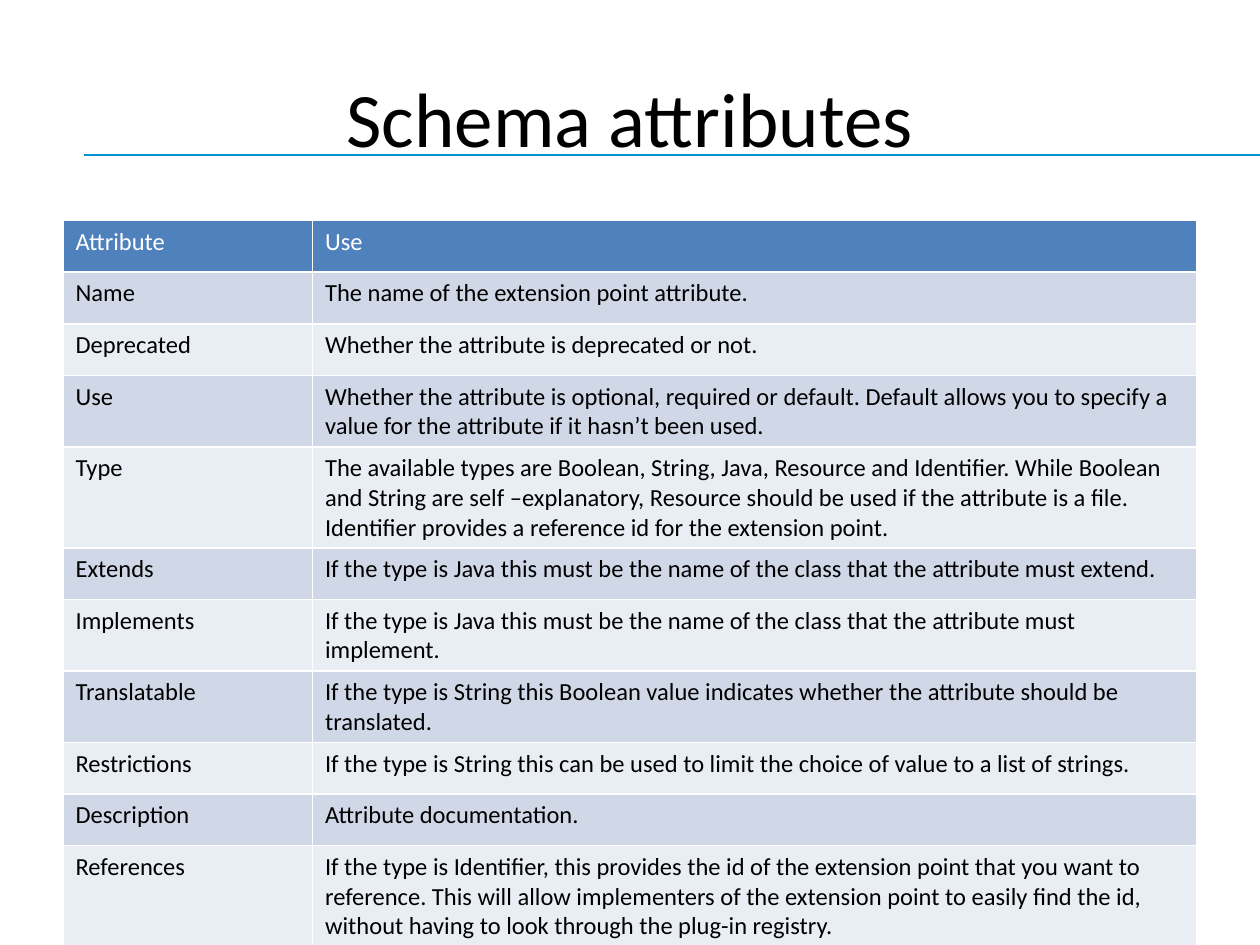
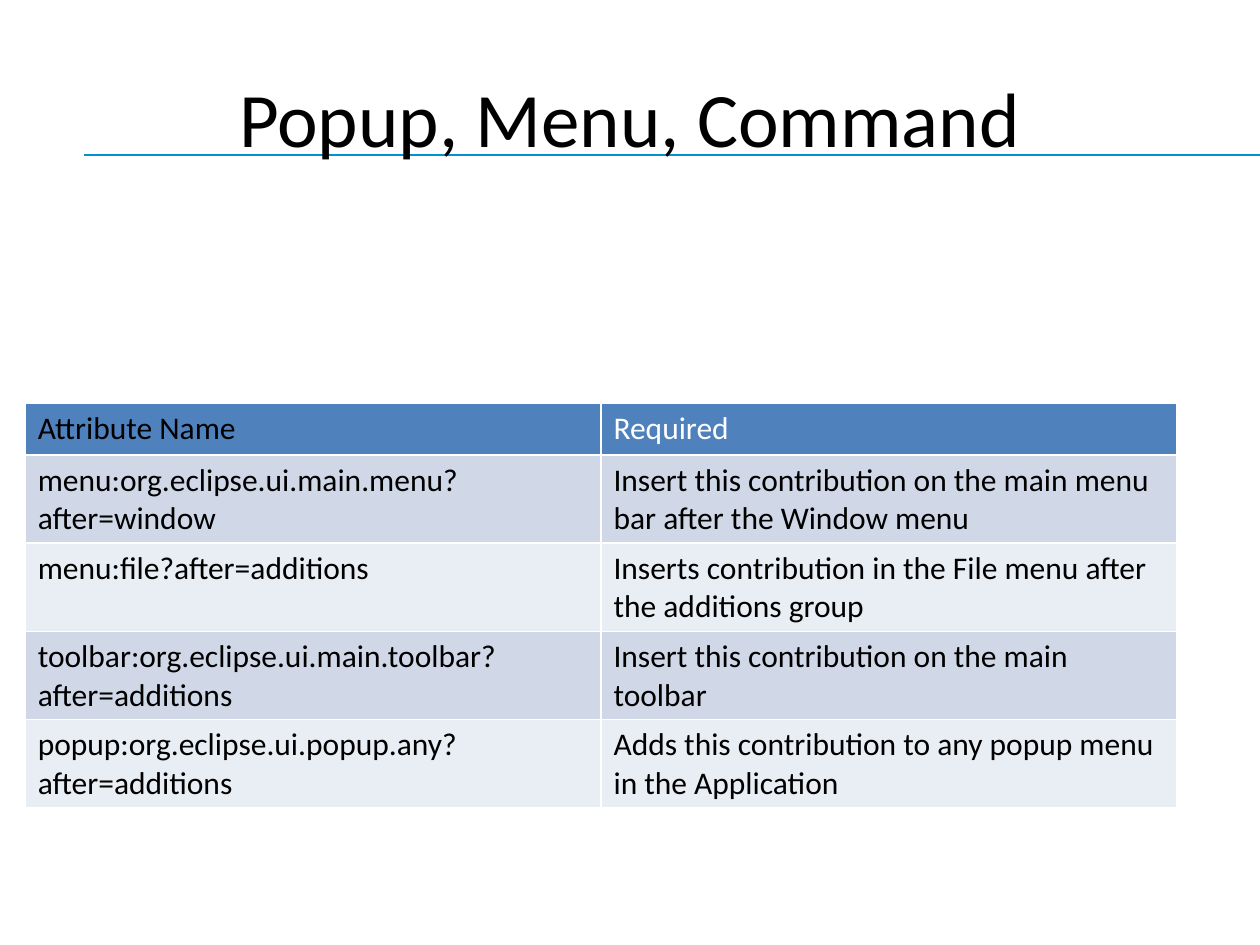
from lxml import etree
from pptx import Presentation
from pptx import util as u
from pptx.dml.color import RGBColor
from pptx.enum import shapes, text
from pptx.oxml.ns import qn

FONT = "Calibri"
BLACK, WHITE, RULE_BLUE = "000000", "FFFFFF", "0093D3"
HEADER_FILL = "4F81BD"
BAND_FILLS = ["E9EDF4", "D0D8E8"]
ROW_HEIGHT = u.Inches(0.41)

prs = Presentation()
prs.slide_width, prs.slide_height = u.Inches(10), u.Inches(7.5)
W, H = prs.slide_width, prs.slide_height


def rgb(hex_string):
    return RGBColor.from_string(hex_string)


def add_run(paragraph, words, size, color):
    run = paragraph.add_run()
    run.text = words
    run.font.name = FONT
    run.font.size = u.Pt(size)
    run.font.bold = False
    run.font.color.rgb = rgb(color)


schema_rows = [
    ("Attribute", "Use"),
    ("Name", "The name of the extension point attribute."),
    ("Deprecated", "Whether the attribute is deprecated or not."),
    ("Use", "Whether the attribute is optional, required or default. Default allows you "
            "to specify a value for the attribute if it hasn’t been used."),
    ("Type", "The available types are Boolean, String, Java, Resource and Identifier. "
             "While Boolean and String are self –explanatory, Resource should be used if "
             "the attribute is a file. Identifier provides a reference id for the "
             "extension point."),
    ("Extends", "If the type is Java this must be the name of the class that the "
                "attribute must extend."),
    ("Implements", "If the type is Java this must be the name of the class that the "
                   "attribute must implement."),
    ("Translatable", "If the type is String this Boolean value indicates whether the "
                     "attribute should be translated."),
    ("Restrictions", "If the type is String this can be used to limit the choice of "
                     "value to a list of strings."),
    ("Description", "Attribute documentation."),
    ("References", "If the type is Identifier, this provides the id of the extension "
                   "point that you want to reference. This will allow implementers of "
                   "the extension point to easily find the id, without having to look "
                   "through the plug-in registry."),
]

menu_rows = [
    ("Attribute Name", "Required"),
    ("menu:org.eclipse.ui.main.menu?after=window",
     "Insert this contribution on the main menu bar after the Window menu"),
    ("menu:file?after=additions",
     "Inserts contribution in the File menu after the additions group"),
    ("toolbar:org.eclipse.ui.main.toolbar?after=additions",
     "Insert this contribution on the main toolbar"),
    ("popup:org.eclipse.ui.popup.any?after=additions",
     "Adds this contribution to any popup menu in the Application"),
]

# title, rows, left and top, column widths (inches), text size, header colours
pages = [
    ("Schema attributes", schema_rows, (0.5, 1.75), (1.98, 7.02), 14, (WHITE, WHITE)),
    ("Popup, Menu, Command", menu_rows, (0.2, 3.2), (4.57, 4.57), 18, (BLACK, WHITE)),
]

for title, rows, (left, top), widths, size, header_colors in pages:
    slide = prs.slides.add_slide(prs.slide_layouts[6])

    rule_y = int(H * 0.164)
    title_rule = slide.shapes.add_connector(
        shapes.MSO_CONNECTOR.STRAIGHT, W, rule_y, int(W * 0.067), rule_y)
    title_rule.line.color.rgb = rgb(RULE_BLUE)
    title_rule.line.width = u.Pt(1.5)
    etree.SubElement(title_rule._element.spPr, qn("a:effectLst"))

    heading = slide.shapes.add_textbox(
        int(W * 0.05), int(H * 0.04), int(W * 0.9), H // 6).text_frame
    heading.word_wrap = True
    heading.vertical_anchor = text.MSO_ANCHOR.MIDDLE
    heading.paragraphs[0].alignment = text.PP_ALIGN.CENTER
    add_run(heading.paragraphs[0], title, 44, BLACK)

    # The default table style supplies the white cell borders.
    table = slide.shapes.add_table(
        len(rows), len(widths), u.Inches(left), u.Inches(top),
        u.Inches(sum(widths)), ROW_HEIGHT * len(rows)).table
    for column, width in zip(table.columns, widths):
        column.width = u.Inches(width)
    for r, row in enumerate(rows):
        table.rows[r].height = ROW_HEIGHT
        for c, words in enumerate(row):
            cell = table.cell(r, c)
            cell.fill.solid()
            cell.fill.fore_color.rgb = rgb(BAND_FILLS[r % 2] if r else HEADER_FILL)
            add_run(cell.text_frame.paragraphs[0], words, size,
                    BLACK if r else header_colors[c])

prs.save("out.pptx")
